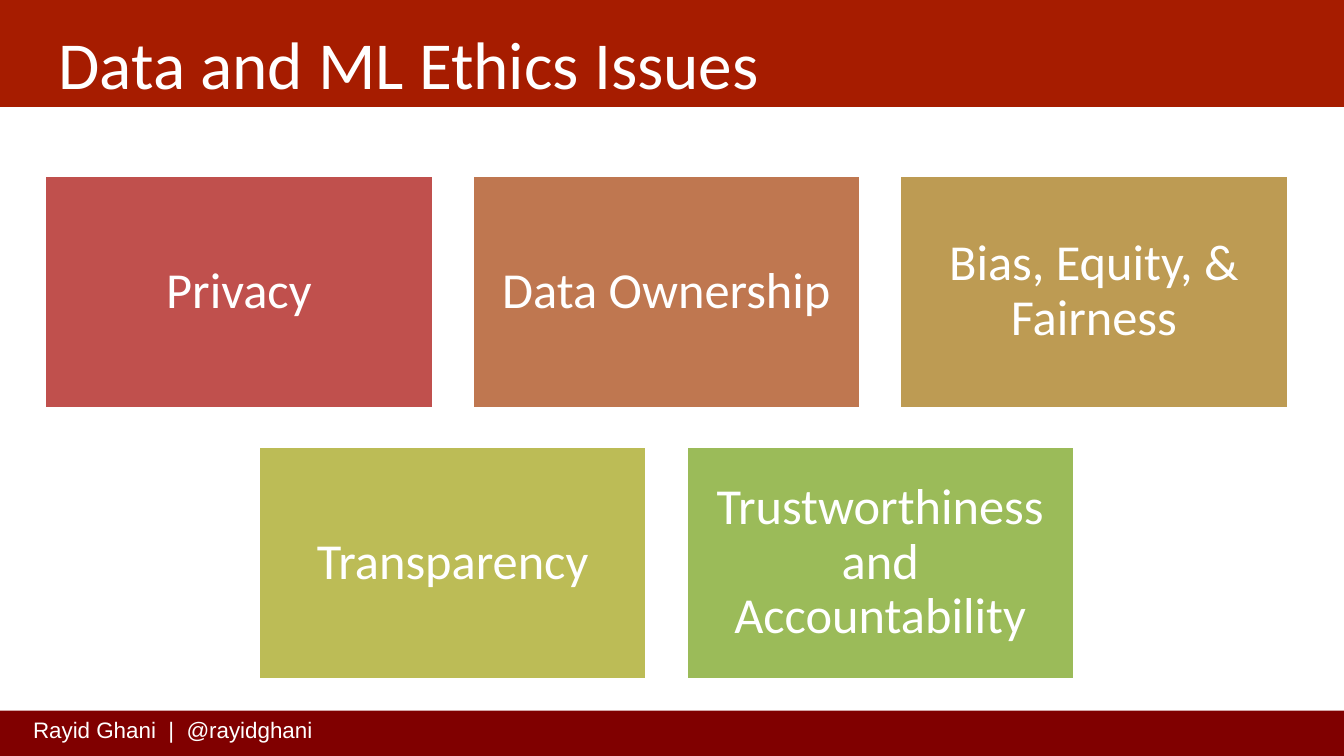
import dataclasses

import pptx
import pptx.dml.color
import pptx.enum.shapes
import pptx.enum.text
import pptx.util

Inches = pptx.util.Inches
Pt = pptx.util.Pt
ANCHOR = pptx.enum.text.MSO_ANCHOR
ALIGN = pptx.enum.text.PP_ALIGN

SLIDE_W, SLIDE_H = 13.33, 7.5
CARD_W, CARD_H = 3.85, 2.31
STEP_X, STEP_Y = 4.24, 2.69
GRID_CENTER, GRID_TOP = 6.61, 1.74
WHITE = "FFFFFF"


@dataclasses.dataclass
class Issue:
    text: str
    fill: str


ISSUE_ROWS = [
    [Issue("Privacy", "C0504D"),
     Issue("Data Ownership", "BF7750"),
     Issue("Bias, Equity, & Fairness", "BD9B53")],
    [Issue("Transparency", "BCBC56"),
     Issue("Trustworthiness and Accountability", "9BBB59")],
]


def rgb(value: str) -> pptx.dml.color.RGBColor:
    return pptx.dml.color.RGBColor.from_string(value)


def set_attrs(target, values: dict) -> None:
    for name, value in values.items():
        setattr(target, name, value)


def write(sp, text: str, size: float, font: str, inset: tuple[float, float],
          frame: dict, paragraph: dict) -> None:
    """Fill a shape with one white paragraph; inset is (horizontal, vertical)."""
    tf = sp.text_frame
    tf.text = text
    x, y = Inches(inset[0]), Inches(inset[1])
    set_attrs(tf, {"margin_left": x, "margin_right": x, "margin_top": y, "margin_bottom": y,
                   "word_wrap": True, "auto_size": pptx.enum.text.MSO_AUTO_SIZE.NONE, **frame})
    p = tf.paragraphs[0]
    set_attrs(p, paragraph)
    r = p.runs[0]
    set_attrs(r.font, {"size": Pt(size), "name": font})
    r.font.color.rgb = rgb(WHITE)


def add_rect(s, left: float, top: float, width: float, height: float, fill: str):
    sp = s.shapes.add_shape(pptx.enum.shapes.MSO_SHAPE.RECTANGLE,
                            Inches(left), Inches(top), Inches(width), Inches(height))
    sp.shadow.inherit = False
    sp.fill.solid()
    sp.fill.fore_color.rgb = rgb(fill)
    sp.line.fill.background()
    return sp


def add_card(s, issue: Issue, left: float, top: float) -> None:
    sp = add_rect(s, left, top, CARD_W, CARD_H, issue.fill)
    sp.line.color.rgb = rgb(WHITE)
    sp.line.width = Pt(2)
    write(sp, issue.text, 36, "Calibri", (0.15, 0.15),
          {"vertical_anchor": ANCHOR.MIDDLE},
          {"alignment": ALIGN.CENTER, "line_spacing": 0.9})


def add_bars(s) -> None:
    add_rect(s, 0, 7.05, SLIDE_W, 0.45, "800000")
    footer = s.shapes.add_textbox(Inches(0.23), Inches(7.06), Inches(3.04), Inches(0.37))
    write(footer, "Rayid Ghani  |  @rayidghani", 16, "Arial", (0.1, 0.05),
          {"vertical_anchor": ANCHOR.TOP}, {"alignment": ALIGN.LEFT})
    add_rect(s, 0, 0, SLIDE_W, 1.06, "A61C00")


def place_title(s) -> None:
    title = s.shapes.title
    set_attrs(title, {"left": Inches(0.45), "top": Inches(0.09),
                      "width": Inches(12.42), "height": Inches(0.83)})
    write(title, "Data and ML Ethics Issues", 48, "Calibri", (0.13, 0.13),
          {"vertical_anchor": ANCHOR.TOP}, {"alignment": ALIGN.LEFT})
    # Bring the title in front of the header bar
    s.shapes._spTree.append(title._element)


def main() -> None:
    prs = pptx.Presentation()
    prs.slide_width, prs.slide_height = Inches(SLIDE_W), Inches(SLIDE_H)
    s = prs.slides.add_slide(prs.slide_layouts[5])
    add_bars(s)
    place_title(s)
    for row, issues in enumerate(ISSUE_ROWS):
        row_left = GRID_CENTER - (CARD_W + STEP_X * (len(issues) - 1)) / 2
        for col, issue in enumerate(issues):
            add_card(s, issue, row_left + col * STEP_X, GRID_TOP + row * STEP_Y)
    prs.save("out.pptx")


if __name__ == "__main__":
    main()
